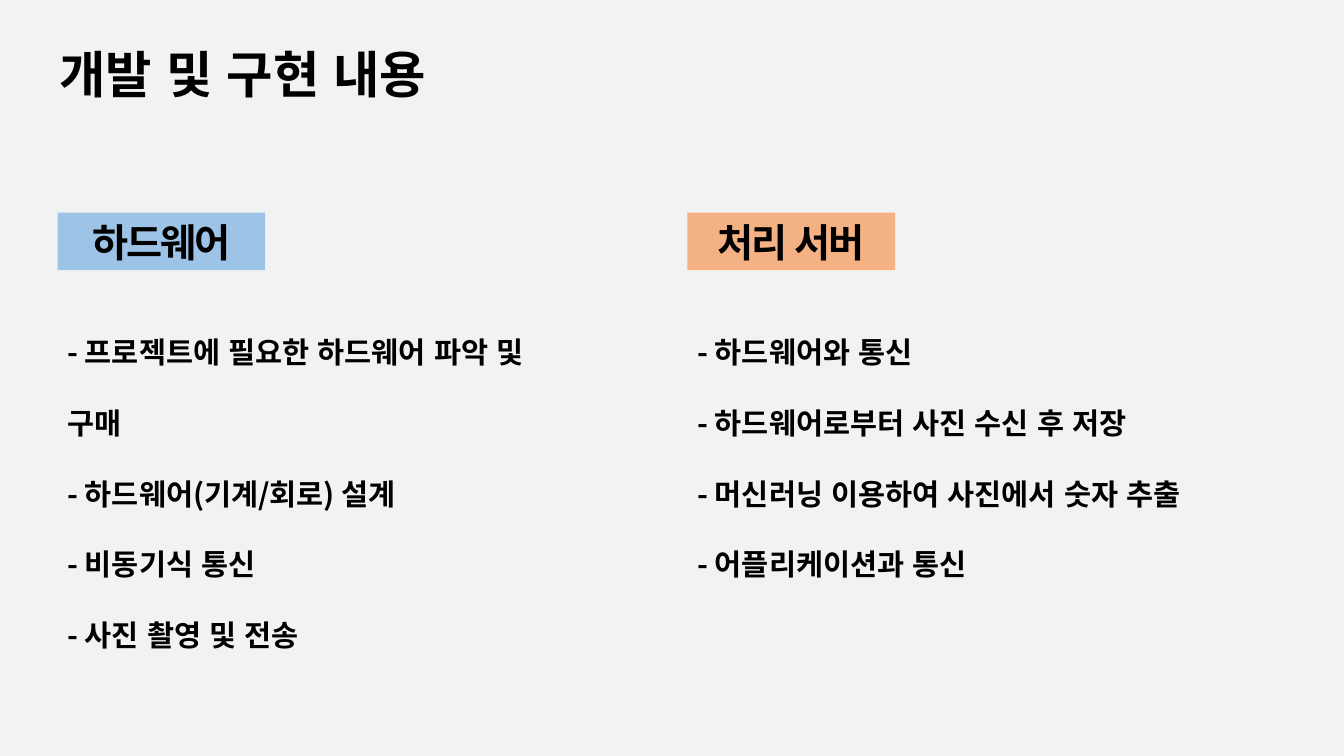
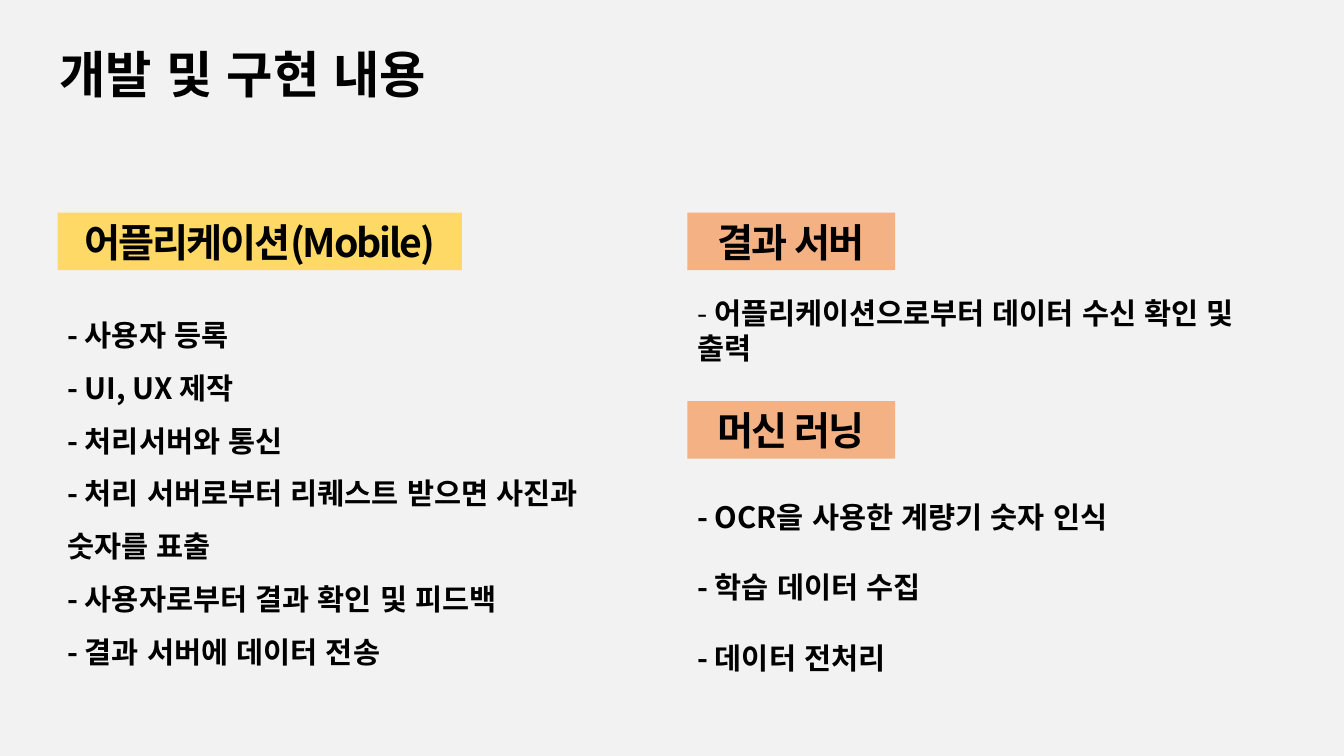
"""Build two slides on the development and implementation of a meter-reading project."""
from lxml.etree import SubElement
from pptx import Presentation
from pptx.dml.color import RGBColor
from pptx.enum.lang import MSO_LANGUAGE_ID
from pptx.enum.shapes import MSO_SHAPE
from pptx.enum.text import MSO_ANCHOR, MSO_AUTO_SIZE, PP_ALIGN
from pptx.oxml.ns import qn
from pptx.util import Inches, Pt

COLORS = {
    "background": "F2F2F2",
    "text": "000000",
    "blue": "9DC3E6",
    "orange": "F4B183",
    "yellow": "FFD966",
}
FONT = "Noto Sans CJK KR"
TITLE = "개발 및 구현 내용"
LEFT, RIGHT = 4.28, 51.15
LEFT_WIDTH, RIGHT_WIDTH = 40.35, 45.38
LABEL_TOP, LABEL_HEIGHT, LABEL_WIDTH = 28.13, 7.6, 15.45
LIST_TOP = 38.93

presentation = Presentation()
presentation.slide_width = Inches(13.33)
presentation.slide_height = Inches(7.5)


def place(left, top, width, height):
    """Turn percentages of the slide's size into lengths."""
    across, down = presentation.slide_width / 100, presentation.slide_height / 100
    return int(left * across), int(top * down), int(width * across), int(height * down)


def write(shape, lines, size=21, spacing=None, align=PP_ALIGN.LEFT,
          anchor=MSO_ANCHOR.TOP, tracking=None, plain_prefix=""):
    """Write one paragraph per line, each after an optional prefix that is not bold."""
    frame = shape.text_frame
    frame.word_wrap = True
    frame.auto_size = MSO_AUTO_SIZE.SHAPE_TO_FIT_TEXT
    frame.vertical_anchor = anchor
    for number, line in enumerate(lines):
        paragraph = frame.add_paragraph() if number else frame.paragraphs[0]
        paragraph.alignment = align
        paragraph.line_spacing = spacing
        for text, bold in ((plain_prefix, False), (line, True)):
            if not text:
                continue
            run = paragraph.add_run()
            run.text = text
            run.font.size = Pt(size)
            run.font.bold = bold
            run.font.name = FONT
            run.font.language_id = MSO_LANGUAGE_ID.KOREAN
            run.font.color.rgb = RGBColor.from_string(COLORS["text"])
            properties = run.font._element
            SubElement(properties, qn("a:ea")).set("typeface", FONT)
            if tracking is not None:
                properties.set("spc", str(int(tracking * 100)))


SLIDES = [
    {
        "labels": [
            ("하드웨어", "blue", LEFT, LABEL_TOP, LABEL_WIDTH),
            ("처리 서버", "orange", RIGHT, LABEL_TOP, LABEL_WIDTH),
        ],
        "lists": [
            ((LEFT, LIST_TOP, 39.5, 37.73), {"spacing": 2.0}, [
                "- 프로젝트에 필요한 하드웨어 파악 및 구매",
                "- 하드웨어(기계/회로) 설계",
                "- 비동기식 통신",
                "- 사진 촬영 및 전송",
            ]),
            ((RIGHT, LIST_TOP, RIGHT_WIDTH, 37.73), {"spacing": 2.0}, [
                "- 하드웨어와 통신",
                "- 하드웨어로부터 사진 수신 후 저장",
                "- 머신러닝 이용하여 사진에서 숫자 추출",
                "- 어플리케이션과 통신",
            ]),
        ],
    },
    {
        "labels": [
            ("어플리케이션(Mobile)", "yellow", LEFT, LABEL_TOP, 30.08),
            ("결과 서버", "orange", RIGHT, LABEL_TOP, LABEL_WIDTH),
            ("머신 러닝", "orange", RIGHT, 53.07, LABEL_WIDTH),
        ],
        "lists": [
            ((LEFT, LIST_TOP, LEFT_WIDTH, 50.13), {"spacing": 1.5}, [
                "- 사용자 등록",
                "- UI, UX 제작",
                "- 처리서버와 통신",
                "- 처리 서버로부터 리퀘스트 받으면 사진과 숫자를 표출",
                "- 사용자로부터 결과 확인 및 피드백",
                "- 결과 서버에 데이터 전송",
            ]),
            ((RIGHT, 38.4, 45.98, 6), {"plain_prefix": "- "}, [
                "어플리케이션으로부터 데이터 수신 확인 및 출력",
            ]),
            ((RIGHT, 60.67, RIGHT_WIDTH, 28.4), {"spacing": 2.0}, [
                "- OCR을 사용한 계량기 숫자 인식",
                "- 학습 데이터 수집",
                "- 데이터 전처리",
            ]),
        ],
    },
]

for content in SLIDES:
    slide = presentation.slides.add_slide(presentation.slide_layouts[6])
    slide.background.fill.solid()
    slide.background.fill.fore_color.rgb = RGBColor.from_string(COLORS["background"])
    write(slide.shapes.add_textbox(*place(3.68, 5.07, 31.95, 9.47)), [TITLE], size=36)

    for text, color, left, top, width in content["labels"]:
        label = slide.shapes.add_shape(
            MSO_SHAPE.RECTANGLE, *place(left, top, width, LABEL_HEIGHT))
        label.shadow.inherit = False
        label.fill.solid()
        label.fill.fore_color.rgb = RGBColor.from_string(COLORS[color])
        label.line.fill.background()
        write(label, [text], size=28, align=PP_ALIGN.CENTER,
              anchor=MSO_ANCHOR.MIDDLE, tracking=-1.5)

    for area, style, lines in content["lists"]:
        write(slide.shapes.add_textbox(*place(*area)), lines, **style)

presentation.save("out.pptx")
